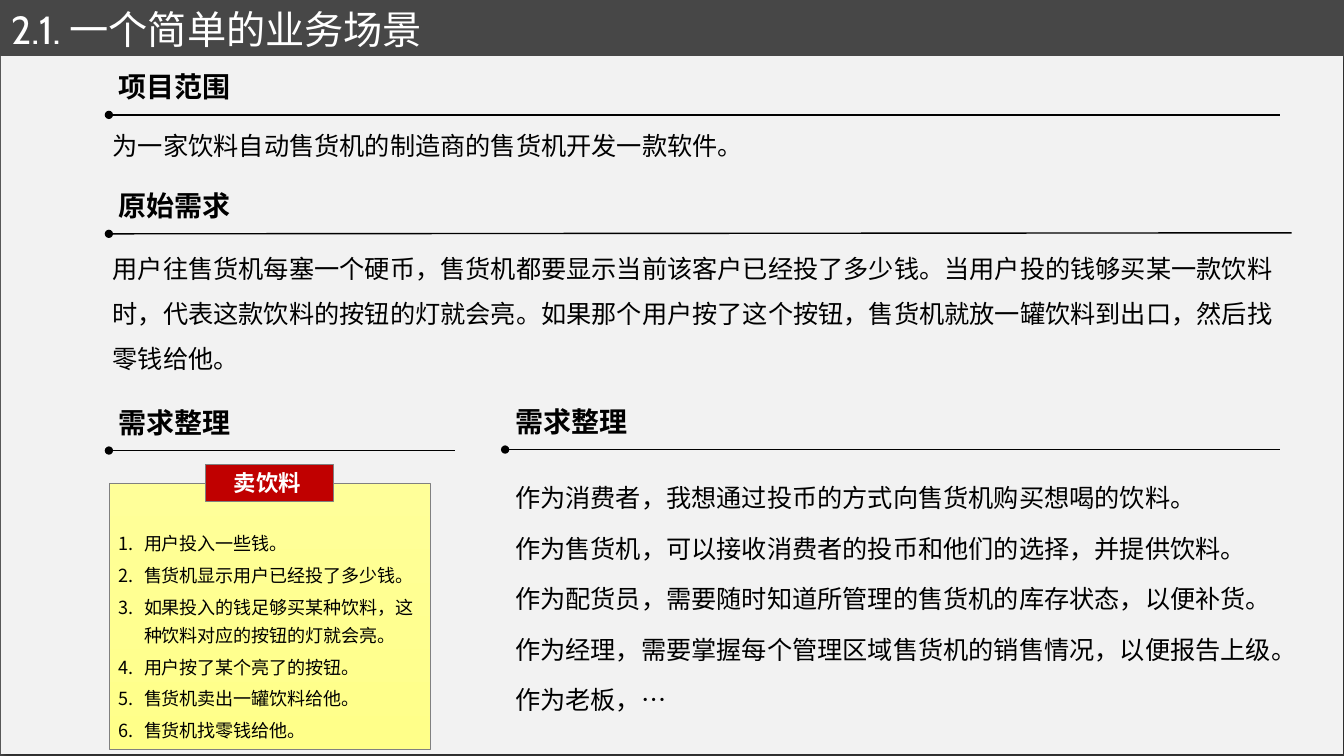
from dataclasses import dataclass

from lxml.etree import SubElement
from pptx import Presentation
from pptx.dml.color import RGBColor
from pptx.enum.shapes import MSO_CONNECTOR, MSO_SHAPE
from pptx.enum.text import MSO_ANCHOR, PP_ALIGN
from pptx.oxml.ns import qn
from pptx.shapes.autoshape import Shape
from pptx.slide import Slide
from pptx.text.text import TextFrame
from pptx.util import Inches, Pt

COLORS = {
    "dark": "474747",
    "panel": "F2F2F2",
    "black": "000000",
    "white": "FFFFFF",
    "red": "C00000",
    "border": "808080",
    "note_top": "FFFF99",
    "note_bottom": "FFFF89",
}


@dataclass(frozen=True)
class Box:
    left: float
    top: float
    width: float
    height: float

    def lengths(self) -> list[int]:
        return [Inches(value) for value in (self.left, self.top, self.width, self.height)]


@dataclass(frozen=True)
class TextStyle:
    size: float
    font: str = "Arial"
    color: str = "black"
    bold: bool = False
    line_spacing: float = 1.0
    space_before: float = 0
    align: PP_ALIGN = PP_ALIGN.LEFT
    numbered: bool = False


@dataclass(frozen=True)
class Section:
    title: str
    left: float
    line_start: float
    line_end: float
    right: float


@dataclass(frozen=True)
class Body:
    box: Box
    lines: list[str]
    wrap: bool = False


TITLE_STYLE = TextStyle(28, "Cabin", "white")
HEADING_STYLE = TextStyle(20, "Noto Sans CJK SC", bold=True)
BODY_STYLE = TextStyle(18, line_spacing=1.5, space_before=3.6)
STEP_STYLE = TextStyle(12.9, line_spacing=1.3, space_before=2.6, numbered=True)
LABEL_STYLE = TextStyle(16, color="white", bold=True, align=PP_ALIGN.CENTER)

SECTIONS = [
    Section("项目范围", 1.08, 1.14, 1.14, 12.7),
    Section("原始需求", 1.08, 2.32, 2.31, 12.81),
    Section("需求整理", 1.08, 4.47, 4.47, 4.51),
    Section("需求整理", 5.01, 4.46, 4.46, 12.7),
]

BODIES = [
    Body(Box(1.02, 1.09, 6.51, 0.5), ["为一家饮料自动售货机的制造商的售货机开发一款软件。"]),
    Body(
        Box(1.02, 2.31, 11.93, 1.46),
        [
            "用户往售货机每塞一个硬币，售货机都要显示当前该客户已经投了多少钱。"
            "当用户投的钱够买某一款饮料时，代表这款饮料的按钮的灯就会亮。"
            "如果那个用户按了这个按钮，售货机就放一罐饮料到出口，然后找零钱给他。"
        ],
        wrap=True,
    ),
    Body(
        Box(5.01, 4.59, 8.03, 2.62),
        [
            "作为消费者，我想通过投币的方式向售货机购买想喝的饮料。",
            "作为售货机，可以接收消费者的投币和他们的选择，并提供饮料。",
            "作为配货员，需要随时知道所管理的售货机的库存状态，以便补货。",
            "作为经理，需要掌握每个管理区域售货机的销售情况，以便报告上级。",
            "作为老板，…",
        ],
    ),
]

STEPS = [
    "用户投入一些钱。",
    "售货机显示用户已经投了多少钱。",
    "如果投入的钱足够买某种饮料，这种饮料对应的按钮的灯就会亮。",
    "用户按了某个亮了的按钮。",
    "售货机卖出一罐饮料给他。",
    "售货机找零钱给他。",
]


def rgb(name: str) -> RGBColor:
    return RGBColor.from_string(COLORS[name])


def write_lines(text_frame: TextFrame, lines: list[str], style: TextStyle) -> None:
    text_frame.text = "\n".join(lines)
    for index, paragraph in enumerate(text_frame.paragraphs):
        if style.numbered:
            properties = paragraph._p.get_or_add_pPr()
            properties.set("marL", str(Inches(0.25)))
            properties.set("indent", str(Inches(-0.25)))
            SubElement(properties, qn("a:buFont"), typeface="Arial")
            SubElement(properties, qn("a:buAutoNum"), type="arabicPeriod")
        paragraph.alignment = style.align
        paragraph.line_spacing = style.line_spacing
        if index:
            paragraph.space_before = Pt(style.space_before)
        for run in paragraph.runs:
            run.font.size = Pt(style.size)
            run.font.name = style.font
            run.font.bold = style.bold
            run.font.color.rgb = rgb(style.color)


def add_rectangle(slide: Slide, box: Box, fill: str, line: str = "", line_width: float = 0) -> Shape:
    shape = slide.shapes.add_shape(MSO_SHAPE.RECTANGLE, *box.lengths())
    shape.shadow.inherit = False
    shape.fill.solid()
    shape.fill.fore_color.rgb = rgb(fill)
    if line:
        shape.line.color.rgb = rgb(line)
        shape.line.width = Pt(line_width)
    else:
        shape.line.fill.background()
    shape.text_frame.word_wrap = True
    return shape


def add_text(slide: Slide, box: Box, lines: list[str], style: TextStyle, wrap: bool = False) -> None:
    text_frame = slide.shapes.add_textbox(*box.lengths()).text_frame
    text_frame.word_wrap = wrap
    write_lines(text_frame, lines, style)


def add_section(slide: Slide, section: Section) -> None:
    ends = (section.left, section.line_start, section.right, section.line_end)
    connector = slide.shapes.add_connector(MSO_CONNECTOR.STRAIGHT, *map(Inches, ends))
    connector.line.color.rgb = rgb("black")
    connector.line.width = Pt(1)
    SubElement(connector.line._get_or_add_ln(), qn("a:headEnd"), type="oval")
    SubElement(connector._element.spPr, qn("a:effectLst"))
    add_text(slide, Box(section.left, section.line_start - 0.5, 1.32, 0.44), [section.title], HEADING_STYLE)


def add_panel(slide: Slide) -> None:
    panel = add_rectangle(slide, Box(0.01, 0.55, 13.31, 6.93), "panel")
    effects = panel._element.spPr.find(qn("a:effectLst"))
    shadow = SubElement(
        effects, qn("a:outerShdw"), blurRad=str(Pt(4)), dist=str(Pt(3)), dir="2700000", algn="tl", rotWithShape="0"
    )
    color = SubElement(shadow, qn("a:srgbClr"), val=COLORS["black"])
    SubElement(color, qn("a:alpha"), val="40000")


def add_note(slide: Slide) -> None:
    note = add_rectangle(slide, Box(1.08, 4.79, 3.19, 2.64), "note_top", "border", 0.25)
    note.fill.gradient()
    note.fill.gradient_angle = 270
    for stop, color in zip(note.fill.gradient_stops, ("note_top", "note_bottom")):
        stop.color.rgb = rgb(color)
    note.text_frame.vertical_anchor = MSO_ANCHOR.TOP
    note.text_frame.margin_top = Inches(0.43)
    write_lines(note.text_frame, STEPS, STEP_STYLE)
    label = add_rectangle(slide, Box(2.04, 4.61, 1.27, 0.36), "red", "border", 0.25)
    label.text_frame.margin_left = Inches(0.05)
    write_lines(label.text_frame, ["卖饮料"], LABEL_STYLE)


def main() -> None:
    presentation = Presentation()
    presentation.slide_width, presentation.slide_height = Inches(13.33), Inches(7.5)
    slide = presentation.slides.add_slide(presentation.slide_layouts[6])
    slide.background.fill.solid()
    slide.background.fill.fore_color.rgb = rgb("dark")
    add_panel(slide)
    title = add_rectangle(slide, Box(0.01, 0.02, 13.33, 0.53), "dark", "dark", 0.75)
    write_lines(title.text_frame, ["2.1. 一个简单的业务场景"], TITLE_STYLE)
    for body in BODIES:
        add_text(slide, body.box, body.lines, BODY_STYLE, body.wrap)
    add_note(slide)
    for section in SECTIONS:
        add_section(slide, section)
    presentation.save("out.pptx")


if __name__ == "__main__":
    main()
